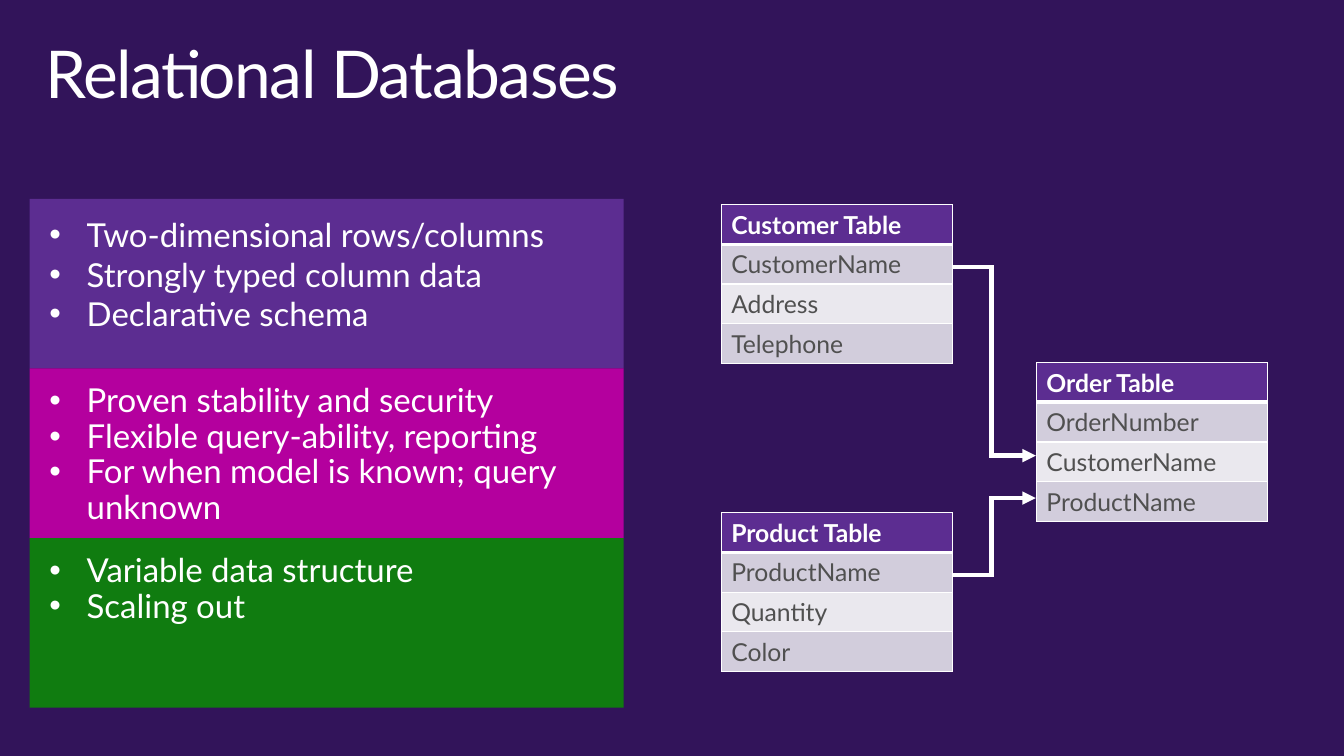
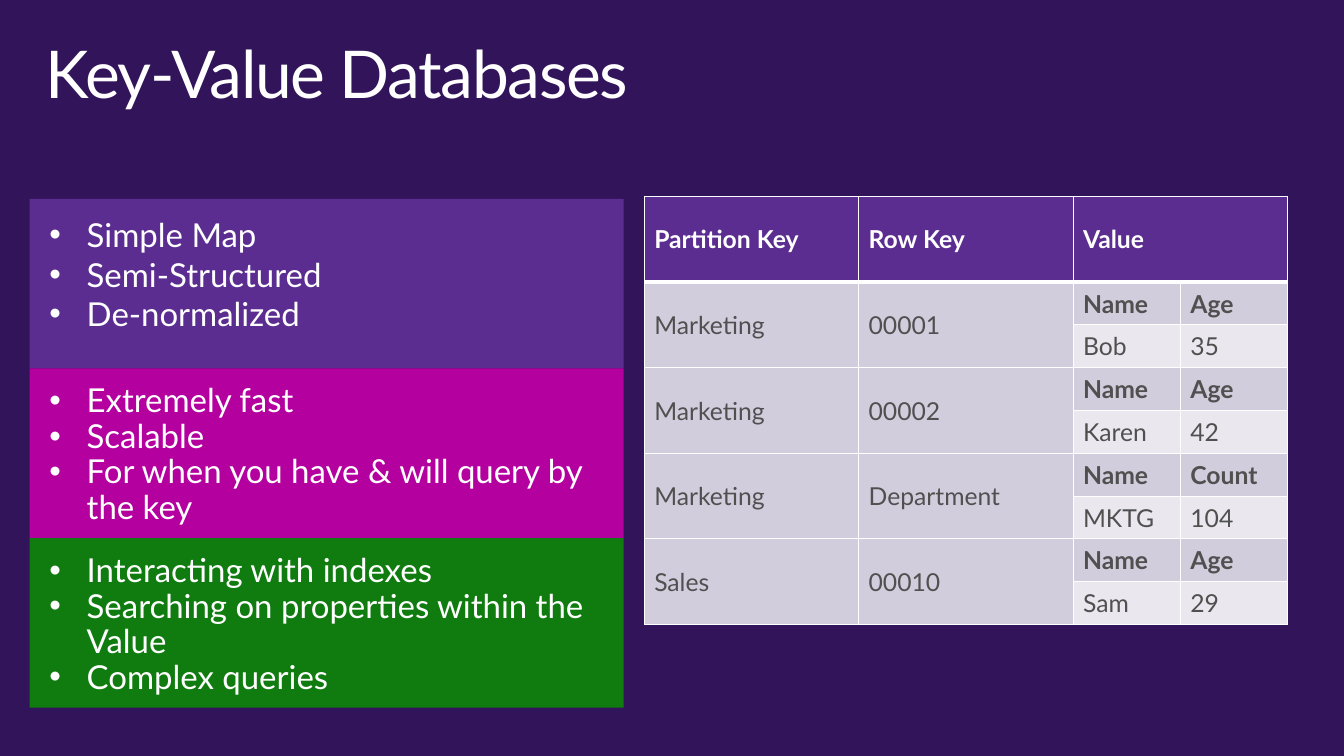
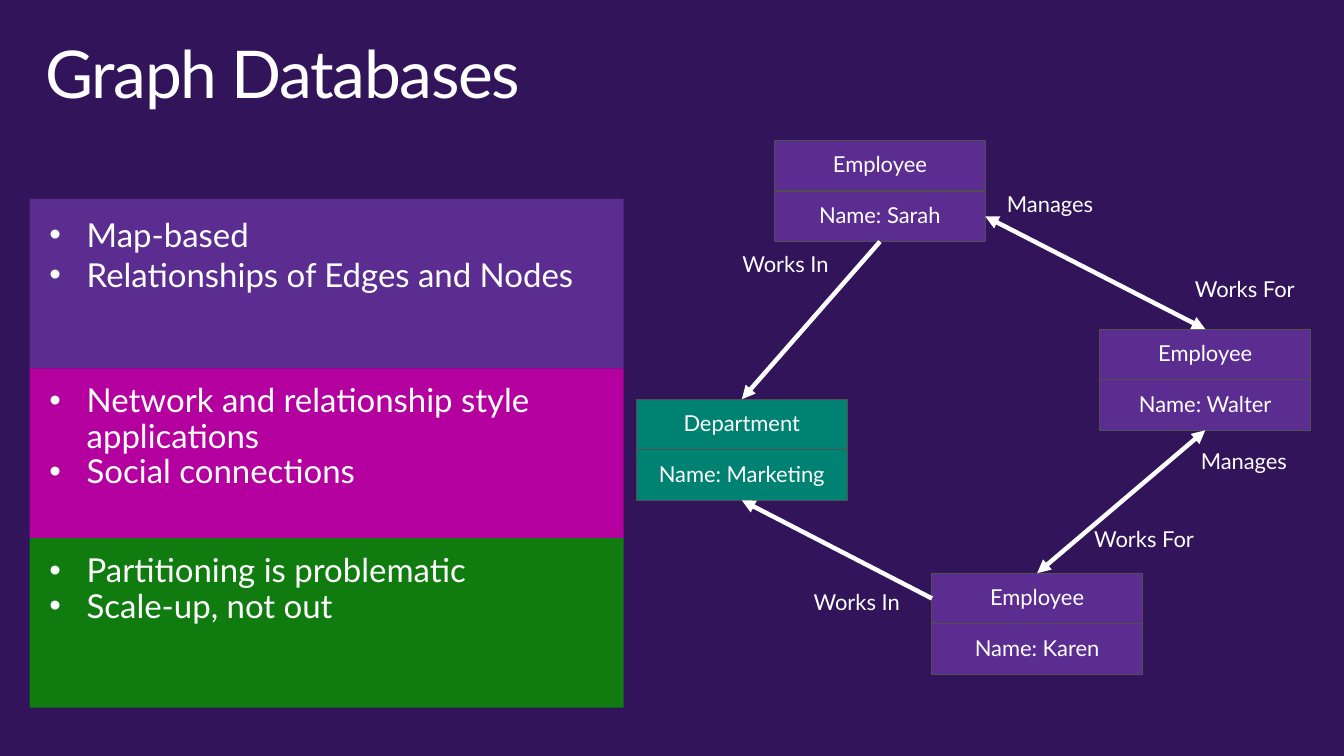
from dataclasses import dataclass
from itertools import pairwise
from typing import Any, Sequence

from lxml import etree
from pptx import Presentation
from pptx import util as u
from pptx.dml.color import RGBColor
from pptx.enum import shapes, text
from pptx.oxml import ns

NIGHT = RGBColor(0x32, 0x14, 0x5A)
PURPLE = RGBColor(0x5C, 0x2D, 0x91)
MAGENTA = RGBColor(0xB4, 0x00, 0x9E)
GREEN = RGBColor(0x10, 0x7C, 0x10)
TEAL = RGBColor(0x00, 0x82, 0x72)
WHITE = RGBColor(0xFF, 0xFF, 0xFF)
GREY = RGBColor(0x50, 0x50, 0x50)
LILAC = RGBColor(0xD2, 0xCD, 0xDC)
MIST = RGBColor(0xEA, 0xE8, 0xEE)

FONT = "Lato"
BULLET_FONT = "Arial"
PAD = (0.51, 0.41)
BAND_LEFT, BAND_TOP, BAND_WIDTH, BAND_HEIGHT = 0.76, 5.11, 15.27, 4.36
BAND_STYLES = ((PURPLE, 1.0), (MAGENTA, 0.9), (GREEN, 0.9))
NODE_WIDTH, NODE_ROW = 5.41, 1.3
LABEL_WIDTH, LABEL_HEIGHT = 3.9, 1.45
ENTITY_WIDTH, ENTITY_ROW = 5.94, 1.02
LINE_WIDTH = 3.25
TOP, LEFT, BOTTOM, RIGHT = range(4)


@dataclass(frozen=True)
class TextStyle:
    size: float
    color: RGBColor = WHITE
    bold: bool = False
    spacing: float = 0.9
    after: float = 0
    align: Any = text.PP_ALIGN.LEFT
    anchor: Any = text.MSO_ANCHOR.TOP
    pad: tuple[float, float] = PAD
    bullet: bool = False
    tracking: int = 0


@dataclass(frozen=True)
class Entity:
    left: float
    top: float
    fields: tuple[str, ...]


@dataclass(frozen=True)
class Record:
    partition: str
    row_key: str
    names: tuple[str, str]
    values: tuple[str, str]


@dataclass(frozen=True)
class Node:
    left: float
    top: float
    kind: str
    name: str
    color: RGBColor = PURPLE


@dataclass(frozen=True)
class Edge:
    start: str
    start_site: int
    end: str
    end_site: int
    both_ways: bool = False


@dataclass(frozen=True)
class Label:
    left: float
    top: float
    words: str


TITLE = TextStyle(48, pad=(0.41, 0.25), tracking=-100)
NODE_TEXT = TextStyle(16, align=text.PP_ALIGN.CENTER, anchor=text.MSO_ANCHOR.MIDDLE,
                      pad=(0.51, 0.1))
LABEL_TEXT = TextStyle(16, after=6)
HEADER = TextStyle(18, bold=True, spacing=1.0)
FIELD = TextStyle(18, GREY, spacing=1.0)
FIELD_NAME = TextStyle(18, GREY, bold=True, spacing=1.0)


def apply(target: Any, values: dict[str, Any]) -> None:
    for key, value in values.items():
        setattr(target, key, value)


def cm(*lengths: float) -> list[u.Length]:
    return [u.Cm(length) for length in lengths]


def write(tf: Any, lines: Sequence[str], style: TextStyle) -> None:
    for i, line in enumerate(lines):
        p = tf.add_paragraph() if i else tf.paragraphs[0]
        apply(p, {
            "alignment": style.align,
            "line_spacing": style.spacing,
            "space_before": u.Pt(0),
            "space_after": u.Pt(style.after),
        })
        if style.bullet:
            pPr = p._p.get_or_add_pPr()
            pPr.set("marL", str(u.Cm(0.96)))
            pPr.set("indent", str(-u.Cm(0.96)))
            etree.SubElement(pPr, ns.qn("a:buFont")).set("typeface", BULLET_FONT)
            etree.SubElement(pPr, ns.qn("a:buChar")).set("char", "•")
        r = p.add_run()
        r.text = line
        apply(r.font, {"name": FONT, "size": u.Pt(style.size), "bold": style.bold})
        r.font.color.rgb = style.color
        if style.tracking:
            r._r.get_or_add_rPr().set("spc", str(style.tracking))


def write_frame(sp: Any, lines: Sequence[str], style: TextStyle) -> None:
    tf = sp.text_frame
    across, down = cm(*style.pad)
    apply(tf, {
        "word_wrap": True,
        "vertical_anchor": style.anchor,
        "margin_left": across,
        "margin_right": across,
        "margin_top": down,
        "margin_bottom": down,
    })
    write(tf, lines, style)


def add_text(s: Any, box: Sequence[float], words: str, style: TextStyle) -> None:
    write_frame(s.shapes.add_textbox(*cm(*box)), [words], style)


def add_box(parent: Any, box: Sequence[float], color: RGBColor, lines: Sequence[str],
            style: TextStyle, outline: RGBColor | None = None) -> Any:
    sp = parent.shapes.add_shape(shapes.MSO_SHAPE.RECTANGLE, *cm(*box))
    sp.shadow.inherit = False
    sp.fill.solid()
    sp.fill.fore_color.rgb = color
    if outline is None:
        sp.line.fill.background()
    else:
        sp.line.color.rgb = outline
        sp.line.width = u.Pt(0.75)
    write_frame(sp, lines, style)
    return sp


def add_line(s: Any, start: Sequence[float], end: Sequence[float],
             head: bool = False, tail: bool = False) -> Any:
    line = s.shapes.add_connector(shapes.MSO_CONNECTOR.STRAIGHT, *cm(*start, *end))
    line.line.color.rgb = WHITE
    line.line.width = u.Pt(LINE_WIDTH)
    spPr = line.element.spPr
    ln = spPr.find(ns.qn("a:ln"))
    if not (head or tail):
        ln.set("cap", "sq")
    for tag, shown in (("a:headEnd", head), ("a:tailEnd", tail)):
        if shown:
            etree.SubElement(ln, ns.qn(tag)).set("type", "triangle")
    etree.SubElement(spPr, ns.qn("a:effectLst"))
    return line


def add_route(s: Any, points: Sequence[tuple[float, float]]) -> None:
    for start, end in pairwise(points):
        add_line(s, start, end, tail=end == points[-1])


def add_grid(s: Any, left: float, top: float, widths: Sequence[float],
             heights: Sequence[float]) -> Any:
    frame = s.shapes.add_table(len(heights), len(widths),
                               *cm(left, top, sum(widths), sum(heights)))
    table = frame.table
    apply(table, {"first_row": False, "horz_banding": False})
    for column, width in zip(table.columns, widths):
        column.width = u.Cm(width)
    for i, (row, height) in enumerate(zip(table.rows, heights)):
        row.height = u.Cm(height)
        for cell in row.cells:
            borders = {"L": 1, "R": 1, "T": 3 if i == 1 else 1, "B": 1 if i else 3}
            tcPr = cell._tc.get_or_add_tcPr()
            for side, weight in borders.items():
                ln = etree.SubElement(tcPr, ns.qn(f"a:ln{side}"))
                ln.set("w", str(u.Pt(weight)))
                fill = etree.SubElement(ln, ns.qn("a:solidFill"))
                etree.SubElement(fill, ns.qn("a:srgbClr")).set("val", str(WHITE))
    return table


def set_cell(cell: Any, words: str, color: RGBColor, style: TextStyle) -> None:
    cell.fill.solid()
    cell.fill.fore_color.rgb = color
    cell.vertical_anchor = text.MSO_ANCHOR.MIDDLE
    write(cell.text_frame, [words], style)


def add_entity(s: Any, entity: Entity) -> None:
    table = add_grid(s, entity.left, entity.top, [ENTITY_WIDTH],
                     [ENTITY_ROW] * len(entity.fields))
    for i, field in enumerate(entity.fields):
        color = PURPLE if i == 0 else LILAC if i % 2 else MIST
        set_cell(table.cell(i, 0), field, color, FIELD if i else HEADER)


def add_records(s: Any, headers: Sequence[str], records: Sequence[Record]) -> None:
    table = add_grid(s, 16.56, 5.05, [5.51, 5.51, 2.76, 2.76],
                     [2.2] + [1.1] * 2 * len(records))
    table.cell(0, 2).merge(table.cell(0, 3))
    for column, header in enumerate(headers):
        set_cell(table.cell(0, column), header, PURPLE, HEADER)
    for i, record in enumerate(records):
        row = 1 + 2 * i
        for column, key in enumerate((record.partition, record.row_key)):
            table.cell(row, column).merge(table.cell(row + 1, column))
            set_cell(table.cell(row, column), key, LILAC, FIELD)
        for column, (name, value) in enumerate(zip(record.names, record.values), 2):
            set_cell(table.cell(row, column), name, LILAC, FIELD_NAME)
            set_cell(table.cell(row + 1, column), value, MIST, FIELD)


def add_node(s: Any, node: Node) -> tuple[Any, Any]:
    group = s.shapes.add_group_shape()
    upper, lower = (
        add_box(group, (node.left, node.top + i * NODE_ROW, NODE_WIDTH, NODE_ROW),
                node.color, [words], NODE_TEXT, GREY)
        for i, words in enumerate((node.kind, f"Name: {node.name}")))
    return upper, lower


def add_edge(s: Any, edge: Edge, nodes: dict[str, tuple[Any, Any]]) -> None:
    line = add_line(s, (0, 0), (0, 0), head=edge.both_ways, tail=True)
    for connect, name, site in ((line.begin_connect, edge.start, edge.start_site),
                                (line.end_connect, edge.end, edge.end_site)):
        upper, lower = nodes[name]
        connect(upper if site in (TOP, LEFT) else lower, site)


def add_slide(prs: Any, title: str, bands: Sequence[Sequence[str]]) -> Any:
    s = prs.slides.add_slide(prs.slide_layouts[6])
    add_text(s, (0.76, 0.81, 33.02, 2.54), title, TITLE)
    for i, (lines, (color, spacing)) in enumerate(zip(bands, BAND_STYLES)):
        box = (BAND_LEFT, BAND_TOP + i * BAND_HEIGHT, BAND_WIDTH, BAND_HEIGHT)
        add_box(s, box, color, lines, TextStyle(24, spacing=spacing, bullet=True))
    return s


def relational_slide(prs: Any) -> None:
    s = add_slide(prs, "Relational Databases", (
        ("Two-dimensional rows/columns", "Strongly typed column data", "Declarative schema"),
        ("Proven stability and security", "Flexible query-ability, reporting",
         "For when model is known; query unknown"),
        ("Variable data structure", "Scaling out"),
    ))
    for entity in (
        Entity(18.54, 5.26, ("Customer Table", "CustomerName", "Address", "Telephone")),
        Entity(18.54, 13.18, ("Product Table", "ProductName", "Quantity", "Color")),
        Entity(26.64, 9.32, ("Order Table", "OrderNumber", "CustomerName", "ProductName")),
    ):
        add_entity(s, entity)
    start_x, bend_x, end_x = 24.55, 25.48, 26.62
    for start_y, end_y in ((6.86, 11.71), (14.78, 12.8)):
        add_route(s, ((start_x, start_y), (bend_x, start_y),
                      (bend_x, end_y), (end_x, end_y)))


def key_value_slide(prs: Any) -> None:
    s = add_slide(prs, "Key-Value Databases", (
        ("Simple Map", "Semi-Structured", "De-normalized"),
        ("Extremely fast", "Scalable", "For when you have & will query by the key"),
        ("Interacting with indexes", "Searching on properties within the Value",
         "Complex queries"),
    ))
    person = ("Name", "Age")
    add_records(s, ("Partition Key", "Row Key", "Value"), (
        Record("Marketing", "00001", person, ("Bob", "35")),
        Record("Marketing", "00002", person, ("Karen", "42")),
        Record("Marketing", "Department", ("Name", "Count"), ("MKTG", "104")),
        Record("Sales", "00010", person, ("Sam", "29")),
    ))


def graph_slide(prs: Any) -> None:
    s = add_slide(prs, "Graph Databases", (
        ("Map-based", "Relationships of Edges and Nodes"),
        ("Network and relationship style applications", "Social connections"),
        ("Partitioning is problematic", "Scale-up, not out"),
    ))
    nodes = {node.name: add_node(s, node) for node in (
        Node(19.91, 3.61, "Employee", "Sarah"),
        Node(16.36, 10.26, "Department", "Marketing", TEAL),
        Node(23.95, 14.73, "Employee", "Karen"),
        Node(28.27, 8.46, "Employee", "Walter"),
    )}
    for edge in (
        Edge("Sarah", BOTTOM, "Marketing", TOP),
        Edge("Sarah", RIGHT, "Walter", TOP, both_ways=True),
        Edge("Walter", BOTTOM, "Karen", TOP, both_ways=True),
        Edge("Karen", LEFT, "Marketing", BOTTOM),
    ):
        add_edge(s, edge, nodes)
    for label in (
        Label(18.57, 6.2, "Works In"),
        Label(25.37, 4.67, "Manages"),
        Label(30.2, 6.86, "Works For"),
        Label(30.35, 11.28, "Manages"),
        Label(27.61, 13.29, "Works For"),
        Label(20.4, 14.91, "Works In"),
    ):
        add_text(s, (label.left, label.top, LABEL_WIDTH, LABEL_HEIGHT),
                 label.words, LABEL_TEXT)


def main() -> None:
    prs = Presentation()
    apply(prs, {"slide_width": u.Cm(34.54), "slide_height": u.Cm(19.43)})
    backdrop = prs.slide_master.background.fill
    backdrop.solid()
    backdrop.fore_color.rgb = NIGHT
    for build in (relational_slide, key_value_slide, graph_slide):
        build(prs)
    prs.save("out.pptx")


main()
